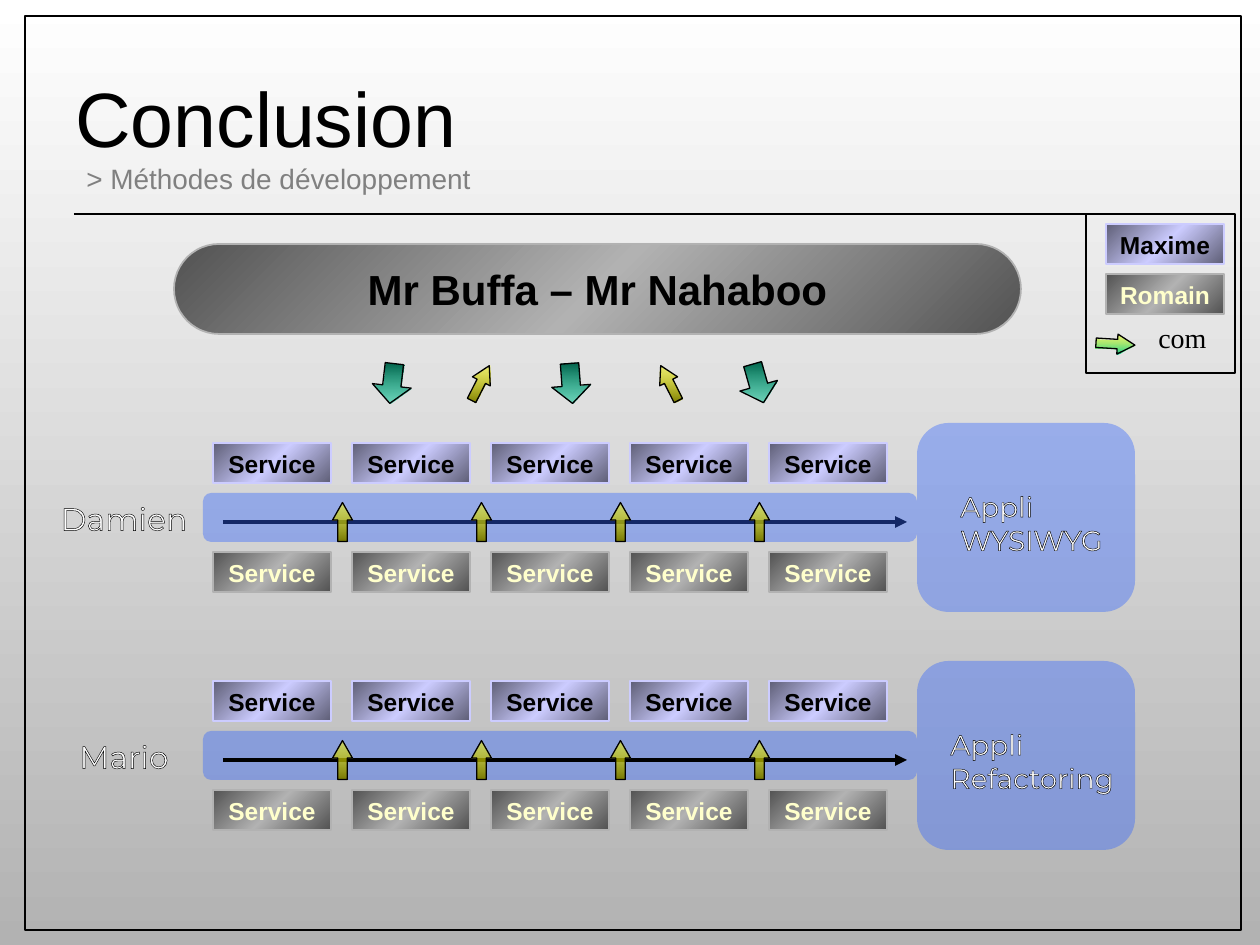
from lxml import etree
from pptx import Presentation
from pptx.dml.color import RGBColor
from pptx.enum.shapes import MSO_CONNECTOR, MSO_SHAPE
from pptx.enum.text import MSO_ANCHOR, PP_ALIGN
from pptx.oxml.ns import qn
from pptx.util import Pt

PX = 914400 / 126
RECT, ROUNDED, ARROW = MSO_SHAPE.RECTANGLE, MSO_SHAPE.ROUNDED_RECTANGLE, MSO_SHAPE.RIGHT_ARROW
STRAIGHT = MSO_CONNECTOR.STRAIGHT
LEFT, CENTER = PP_ALIGN.LEFT, PP_ALIGN.CENTER
TOP, MIDDLE = MSO_ANCHOR.TOP, MSO_ANCHOR.MIDDLE

BLACK, WHITE, GREY, CREAM = "000000", "FFFFFF", "808080", "FFFFCC"
BLUE = "3366FF"
# A gradient is a list of (position %, colour, opacity %).
LILAC = [(0, "5E5E76", 100), (50, "CCCCFF", 100), (100, "5E5E76", 100)]
STEEL = [(0, "525252", 100), (50, "B2B2B2", 100), (100, "525252", 100)]
TEAL = [(0, "005E47", 100), (100, "00CC99", 50)]
YELLOW = [(0, "FFFF00", 50), (100, "767600", 100)]
LIME = [(0, "FFFF00", 50), (100, "00CC99", 100)]

SERVICE_COUNT, SERVICE_PITCH = 5, 139
SERVICE_WIDTH, SERVICE_HEIGHT = 118, 40
PANEL_WIDTH = 218


def px(*lengths):
    return [round(length * PX) for length in lengths]


def rgb(code):
    return RGBColor.from_string(code)


def add_color(parent, code, opacity=100):
    color = etree.SubElement(parent, qn("a:srgbClr"), val=code)
    if opacity < 100:
        etree.SubElement(color, qn("a:alpha"), val=str(opacity * 1000))


def fill_gradient(shape, stops, angle):
    shape.fill.gradient()
    gradient = shape._element.spPr.find(qn("a:gradFill"))
    stop_list = gradient.find(qn("a:gsLst"))
    for old_stop in list(stop_list):
        stop_list.remove(old_stop)
    for position, code, opacity in stops:
        stop = etree.SubElement(stop_list, qn("a:gs"), pos=str(position * 1000))
        add_color(stop, code, opacity)
    gradient.find(qn("a:lin")).set("ang", str(round(angle * 60000)))


def add_block(page, kind, box, line=None, width=0.75, adjust=()):
    shape = page.shapes.add_shape(kind, *px(*box))
    shape.shadow.inherit = False
    shape.fill.background()
    for index, value in enumerate(adjust):
        shape.adjustments[index] = value
    if line:
        shape.line.color.rgb = rgb(line)
        shape.line.width = Pt(width)
    else:
        shape.line.fill.background()
    return shape


def add_line(page, start, end, width, arrow=False):
    line = page.shapes.add_connector(STRAIGHT, *px(*start, *end))
    line.line.color.rgb = rgb(BLACK)
    line.line.width = Pt(width)
    if arrow:
        etree.SubElement(line.line._get_or_add_ln(), qn("a:tailEnd"), type="triangle")
    etree.SubElement(line._element.spPr, qn("a:effectLst"))


def write(shape, lines, size, color, font="Arial", bold=False, align=LEFT,
          anchor=TOP, wrap=True, outlined=False):
    frame = shape.text_frame
    frame.word_wrap = wrap
    frame.vertical_anchor = anchor
    for index, text in enumerate(lines):
        para = frame.add_paragraph() if index else frame.paragraphs[0]
        para.alignment = align
        span = para.add_run()
        span.text = text
        span.font.name = font
        span.font.size = Pt(size)
        span.font.bold = bold
        span.font.color.rgb = rgb(color)
        if outlined:
            outline = etree.Element(qn("a:ln"), w=str(Pt(0.75)))
            add_color(etree.SubElement(outline, qn("a:solidFill")), BLACK)
            span.font._element.insert(0, outline)


def add_text(page, box, lines, size, color, **style):
    write(page.shapes.add_textbox(*px(*box)), lines, size, color, **style)


def add_tag(page, left, top, text, stops, color):
    """Small gradient box with a centred bold word."""
    box = (left, top, SERVICE_WIDTH, SERVICE_HEIGHT)
    tag = add_block(page, RECT, box, line=stops[1][1])
    fill_gradient(tag, stops, 45)
    write(tag, [text], 14, color, bold=True, align=CENTER, wrap=False)


def add_arrow(page, left, top, rotation, stops, large=False):
    """Block arrow whose gradient stays vertical whatever its rotation."""
    width, height, head = (40, 39, 0.451) if large else (39, 20, 0.878)
    arrow = add_block(page, ARROW, (left, top, width, height), BLACK, adjust=(0.471, head))
    arrow.rotation = rotation
    fill_gradient(arrow, stops, (90 - rotation) % 360)


def add_panel(page, box):
    panel = add_block(page, ROUNDED, box, adjust=(0.167,))
    panel.fill.solid()
    panel.fill.fore_color.rgb = rgb(BLUE)
    color = panel._element.spPr.find(qn("a:solidFill"))[0]
    etree.SubElement(color, qn("a:alpha"), val="40000")


def add_header(page, left, top):
    add_text(page, (left, top, 1134, 157), ["Conclusion"], 44, BLACK, anchor=MIDDLE)
    add_line(page, (left + 11, top + 176), (left + 1133, top + 176), 0.75)
    add_text(page, (left + 11, top + 117, 833, 47), ["> Méthodes de développement"], 16, GREY)


def add_supervision(page, left, top):
    """Supervisors' banner and the arrows exchanged with the teams."""
    banner = add_block(page, ROUNDED, (left, top, 847, 90), "B2B2B2", 1, adjust=(0.5,))
    fill_gradient(banner, STEEL, 45)
    write(banner, ["Mr Buffa – Mr Nahaboo"], 24, BLACK, bold=True, align=CENTER)
    for offset, rotation in ((198, 96.6), (377, 85.6), (564, 74.1)):
        add_arrow(page, left + offset, top + 120, rotation, TEAL, large=True)
    for offset, rotation in ((287, 297), (476, 243.3)):
        add_arrow(page, left + offset, top + 129, rotation, YELLOW)


def add_team(page, left, top, name, application, label_inset, line_in_front):
    """One developer's band of services leading to an application."""
    def add_flow():
        add_line(page, (left + 169, top + 99), (left + 853, top + 99), 2.25, arrow=True)

    if not line_in_front:
        add_flow()
    add_panel(page, (left + 149, top + 70, 714, 49))
    if line_in_front:
        add_flow()
    panel_left = left + 863
    add_panel(page, (panel_left, top, PANEL_WIDTH, 189))
    add_text(page, (left - 9, top + 70, 158, 43), [name], 18, WHITE,
             font="Montserrat", align=CENTER, outlined=True)
    add_text(page, (panel_left + label_inset, top + 60, PANEL_WIDTH - label_inset, 69),
             ["Appli", application], 16, WHITE, font="Montserrat", outlined=True)
    for index in range(SERVICE_COUNT):
        service_left = left + 159 + index * SERVICE_PITCH
        add_tag(page, service_left, top + 20, "Service", LILAC, BLACK)
        add_tag(page, service_left, top + 129, "Service", STEEL, CREAM)
        if index < SERVICE_COUNT - 1:
            add_arrow(page, service_left + 110, top + 89, 270, YELLOW)


def add_legend(page, left, top):
    add_tag(page, left + 20, top + 10, "Maxime", LILAC, BLACK)
    add_tag(page, left + 20, top + 60, "Romain", STEEL, CREAM)
    add_arrow(page, left + 10, top + 120, 3.5, LIME)
    add_text(page, (left + 60, top + 100, 80, 47), ["com"], 16, BLACK, font="Times New Roman")
    add_block(page, RECT, (left, top, 149, 159), BLACK)


def main():
    deck = Presentation()
    deck.slide_width, deck.slide_height = px(1260, 945)
    page = deck.slides.add_slide(deck.slide_layouts[6])
    backdrop = page.background.fill
    backdrop.gradient()
    backdrop.gradient_angle = 270
    for stop, code in zip(backdrop.gradient_stops, (WHITE, "B2B2B2")):
        stop.color.rgb = rgb(code)

    add_block(page, RECT, (25, 16, 1216, 914), BLACK)
    add_header(page, 63, 38)
    add_team(page, 54, 423, "Damien", "WYSIWYG", label_inset=31, line_in_front=False)
    add_team(page, 54, 661, "Mario", "Refactoring", label_inset=21, line_in_front=True)
    add_supervision(page, 174, 244)
    add_legend(page, 1086, 214)
    deck.save("out.pptx")


if __name__ == "__main__":
    main()
